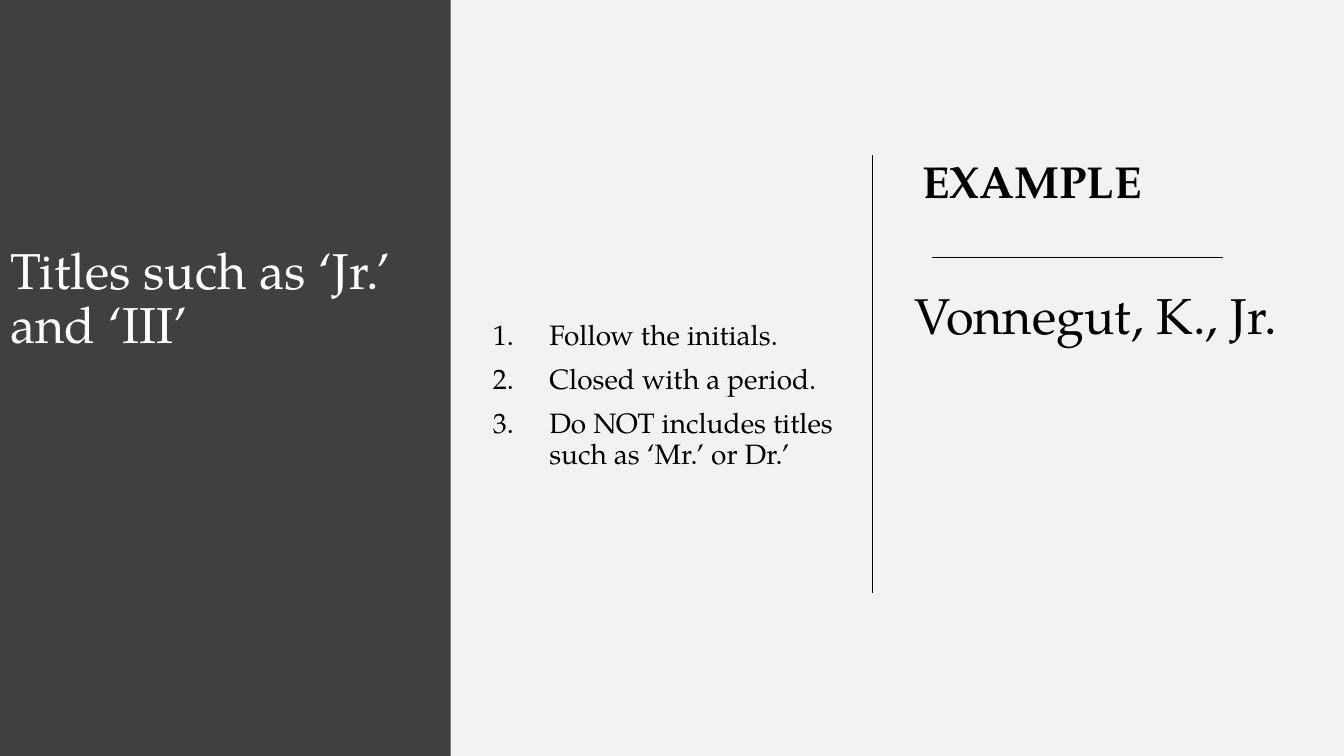
from pptx import Presentation
from pptx.dml.color import RGBColor
from pptx.enum.shapes import MSO_CONNECTOR
from pptx.enum.text import MSO_ANCHOR, MSO_AUTO_SIZE, PP_ALIGN
from pptx.util import Inches, Pt
from lxml import etree

TOP, MIDDLE = MSO_ANCHOR.TOP, MSO_ANCHOR.MIDDLE
NO_FIT = MSO_AUTO_SIZE.NONE
LEFT = PP_ALIGN.LEFT
STRAIGHT = MSO_CONNECTOR.STRAIGHT
FONT = "TeX Gyre Pagella"
NS = "{http://schemas.openxmlformats.org/drawingml/2006/main}"
COLORS = {"back": "F2F2F2", "panel": "404040", "light": "FFFFFF", "ink": "000000"}
RULES = ["Follow the initials.", "Closed with a period.",
         "Do NOT includes titles such as ‘Mr.’ or Dr.’"]


def color(name):
    """Return the named colour."""
    return RGBColor.from_string(COLORS[name])


def place(shape, box):
    """Move a shape to a box given in inches."""
    shape.left, shape.top, shape.width, shape.height = map(Inches, box)


def number(para):
    """Give a paragraph a hanging number."""
    props = para._p.get_or_add_pPr()
    props.set("marL", str(Inches(0.56)))
    props.set("indent", str(-Inches(0.56)))
    etree.SubElement(props, NS + "buFont", typeface="+mj-lt")
    etree.SubElement(props, NS + "buAutoNum", type="arabicPeriod")


def write(shape, lines, size, ink="ink", bold=False, anchor=TOP, listed=False):
    """Fill a shape with evenly styled paragraphs."""
    frame = shape.text_frame
    frame.word_wrap = True
    frame.auto_size = NO_FIT
    frame.vertical_anchor = anchor
    frame.text = "\n".join(lines)
    for i, para in enumerate(frame.paragraphs):
        para.alignment = LEFT
        para.line_spacing = 0.9
        para.space_before = Pt(10 if i else 0)
        if listed:
            number(para)
        font = para.font
        font.name, font.size, font.bold = FONT, Pt(size), bold
        font.color.rgb = color(ink)


def add_text(slide, box, lines, size, **style):
    """Add a text box."""
    shape = slide.shapes.add_textbox(*map(Inches, box))
    write(shape, lines, size, **style)


def add_rule(slide, x, y, wide=0, high=0):
    """Draw a thin line from a point."""
    ends = map(Inches, (x, y, x + wide, y + high))
    line = slide.shapes.add_connector(STRAIGHT, *ends)
    line.line.color.rgb = color("ink")
    line.line.width = Pt(0.5)
    etree.SubElement(line._element.spPr, NS + "effectLst")


def add_panel(slide, box):
    """Turn the title into the dark side panel."""
    title = slide.shapes.title
    place(title, box)
    title.fill.solid()
    title.fill.fore_color.rgb = color("panel")
    write(title, ["Titles such as ‘Jr.’ and ‘III’"], 36, ink="light")
    title.text_frame.margin_top = Inches(2.44)


def add_rules(slide, box):
    """Place the numbered rules and the divider at their right."""
    x, y, wide, high = box
    add_text(slide, box, RULES, 20, anchor=MIDDLE, listed=True)
    add_rule(slide, x + wide, y, high=4.34)


def add_sample(slide, box):
    """Place the example heading, its underline and the name."""
    x, y, wide, high = box
    add_text(slide, (x + 0.08, y, 3.66, 0.81), ["EXAMPLE"], 32, bold=True)
    add_rule(slide, x + 0.27, y + 1.01, wide=2.89)
    add_text(slide, (x, y + 1.3, wide, high - 1.3), ["Vonnegut, K., Jr."], 36)


def main():
    """Build and save the slide."""
    deck = Presentation()
    deck.slide_width, deck.slide_height = Inches(13.33), Inches(7.5)
    slide = deck.slides.add_slide(deck.slide_layouts.get_by_name("Title Only"))
    slide.background.fill.solid()
    slide.background.fill.fore_color.rgb = color("back")
    add_panel(slide, (0, 0, 4.47, 7.5))
    add_rules(slide, (4.79, 1.54, 3.86, 4.77))
    add_sample(slide, (8.97, 1.54, 4.06, 4.94))
    deck.save("out.pptx")


if __name__ == "__main__":
    main()
